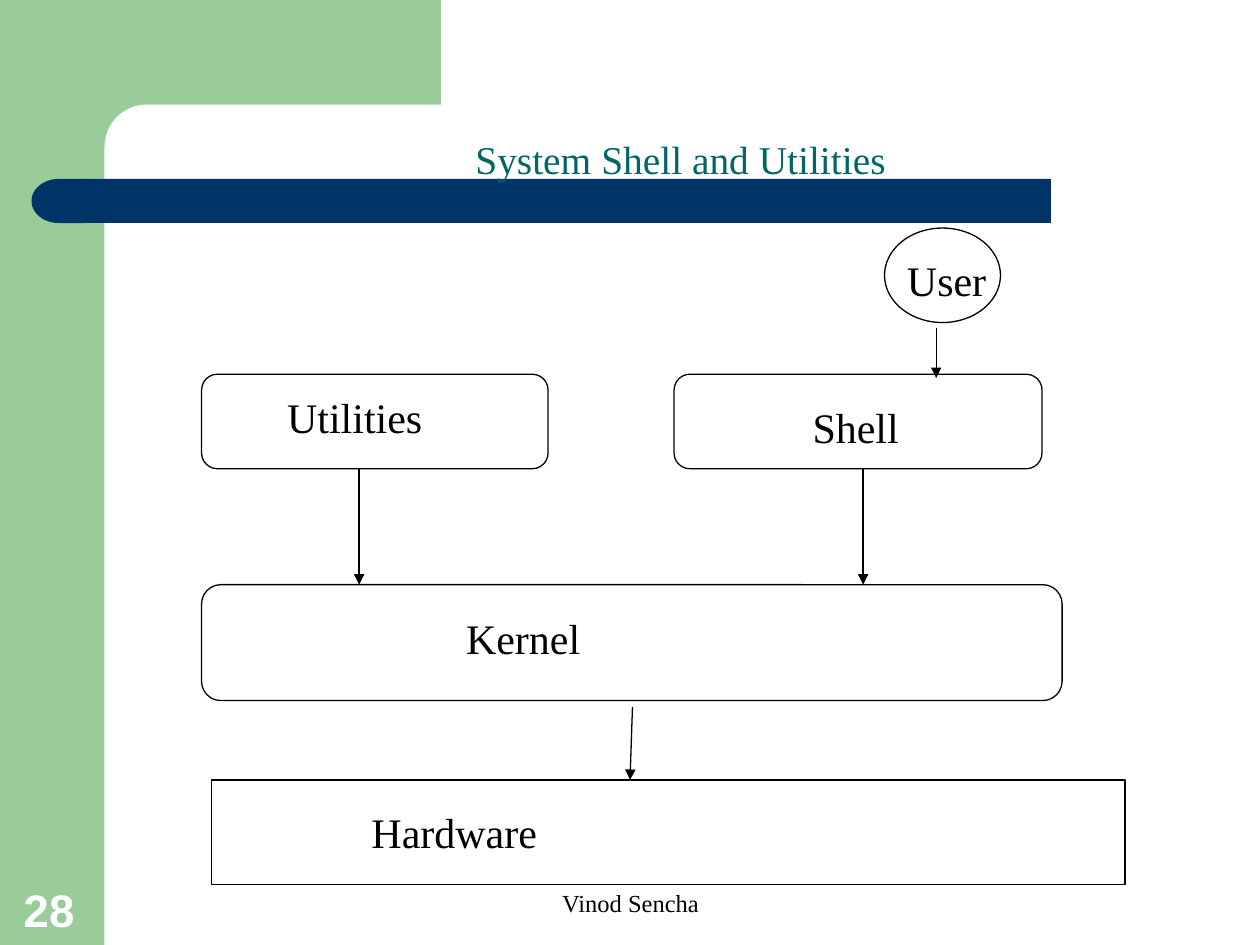
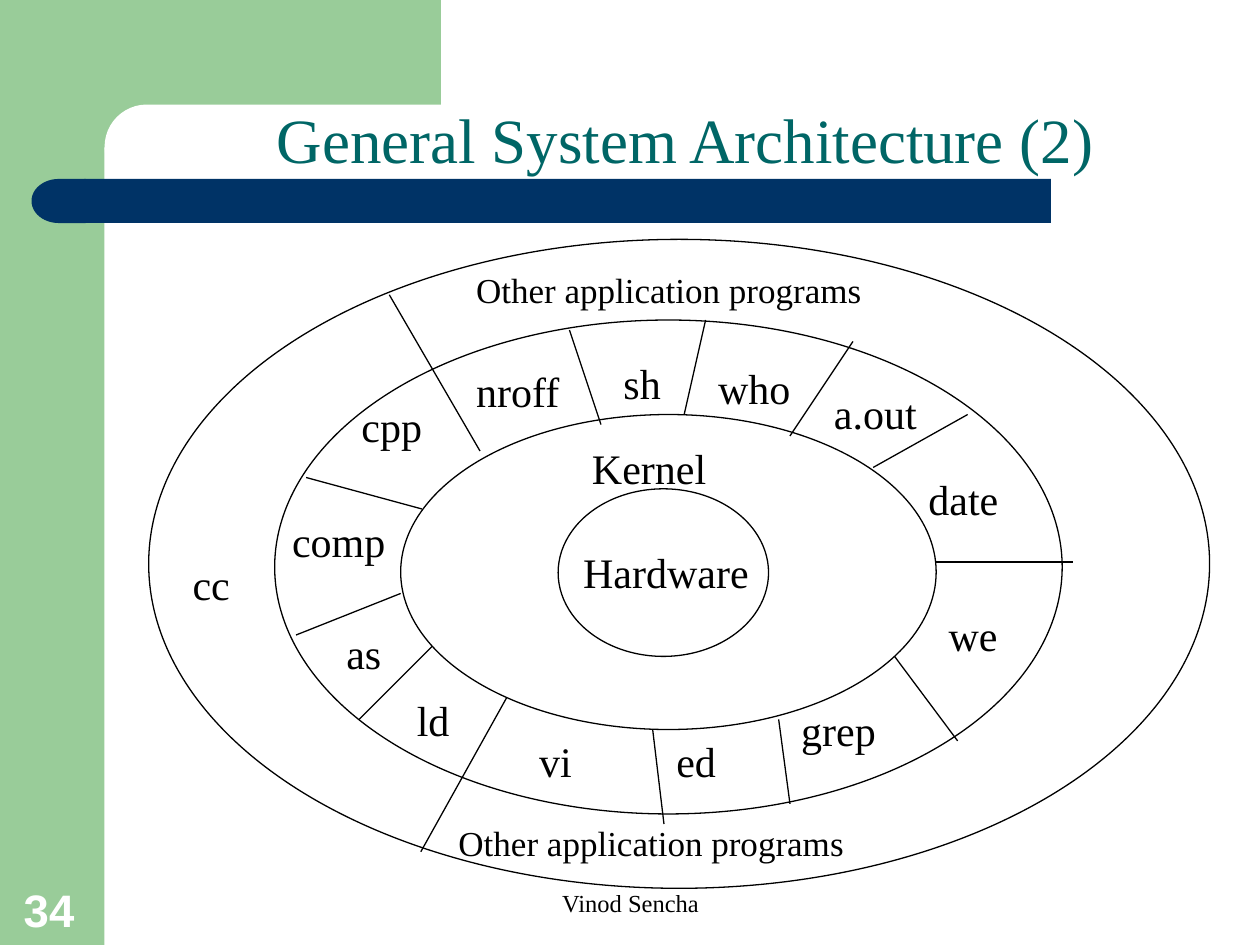
from pptx import Presentation
from pptx import util as u
from pptx.dml import color
from pptx.enum import shapes, text
from pptx.oxml import ns
from lxml import etree

KIND = shapes.MSO_SHAPE
LEFT, MID = text.PP_ALIGN.LEFT, text.PP_ALIGN.CENTER
TOP, LOW = text.MSO_ANCHOR.TOP, text.MSO_ANCHOR.BOTTOM
GREEN, NAVY, TEAL = "99CC99", "003366", "006666"
WHITE, BLACK = "FFFFFF", "000000"
SERIF, SANS = "Times New Roman", "Arial"


def hue(code):
    return color.RGBColor.from_string(code)


def apply(item, form):
    for key, val in form.items():
        setattr(item, key, val)


def inch(*nums):
    return [u.Inches(num) for num in nums]


def shift(box, x, y):
    return box[0] + x, box[1] + y


def write(shape, words, size=24, tint=BLACK, face=SERIF, bold=False,
          align=LEFT, anchor=TOP):
    frame = shape.text_frame
    apply(frame, {"word_wrap": True, "auto_size": text.MSO_AUTO_SIZE.NONE,
                  "vertical_anchor": anchor})
    para = frame.paragraphs[0]
    para.text = words
    para.alignment = align
    apply(para.font, {"size": u.Pt(size), "name": face, "bold": bold})
    para.font.color.rgb = hue(tint)


def label(slide, words, box, **form):
    write(slide.shapes.add_textbox(*inch(*box)), words, **form)


def block(slide, kind, box, fill=None):
    shape = slide.shapes.add_shape(kind, *inch(*box))
    shape.shadow.inherit = False
    if fill:
        shape.fill.solid()
        shape.fill.fore_color.rgb = hue(fill)
        shape.line.fill.background()
    else:
        shape.fill.background()
        shape.line.color.rgb = hue(BLACK)
        shape.line.width = u.Pt(0.75)
    return shape


def wire(slide, start, end, arrow=False):
    line = slide.shapes.add_connector(
        shapes.MSO_CONNECTOR.STRAIGHT, *inch(*start, *end))
    line.line.color.rgb = hue(BLACK)
    line.line.width = u.Pt(0.75)
    props = line.element.spPr
    if arrow:
        etree.SubElement(props.find(ns.qn("a:ln")), ns.qn("a:tailEnd"),
                         type="triangle")
    etree.SubElement(props, ns.qn("a:effectLst"))


def frame(slide, layout):
    parts = [
        block(slide, KIND.RECTANGLE, (0, 0, 0.83, 7.5), GREEN),
        block(slide, KIND.RECTANGLE, (0.75, 0, 2.75, 1.17), GREEN),
        block(slide, KIND.ROUNDED_RECTANGLE, (0.83, 0.83, 3.42, 0.67), WHITE),
        block(slide, KIND.RECTANGLE, (0.67, 1.42, 7.67, 0.35), NAVY),
        block(slide, KIND.FLOWCHART_DELAY, (0.25, 1.42, 0.43, 0.35), NAVY),
    ]
    parts[2].adjustments[0] = 0.5
    parts[-1].rotation = 180
    for part in parts:
        layout.shapes.element.append(part.element)


def head(slide, words, box, **form):
    title = slide.shapes.title
    apply(title, dict(zip(("left", "top", "width", "height"), inch(*box))))
    write(title, words, tint=TEAL, align=MID, **form)


def foot(slide, page):
    label(slide, page, (0.09, 6.94, 0.64, 0.54), size=26, tint=WHITE,
          face=SANS, bold=True, anchor=LOW)
    label(slide, "Vinod Sencha", (3.42, 7, 3.17, 0.5), size=14, align=MID)


def stack(slide, box):
    nodes = [
        (KIND.ROUNDED_RECTANGLE, (0, 1.16), (2.75, 0.75),
         "Utilities", (0.58, 1.25), 2.08),
        (KIND.ROUNDED_RECTANGLE, (3.75, 1.16), (2.92, 0.75),
         "Shell", (4.75, 1.33), 2.08),
        (KIND.ROUNDED_RECTANGLE, (0, 2.83), (6.83, 0.92),
         "Kernel", (2, 3), 3.75),
        (KIND.RECTANGLE, (0.08, 4.38), (7.25, 0.83),
         "Hardware", (1.25, 4.54), 5.33),
        (KIND.OVAL, (5.42, 0), (0.92, 0.75), "User", (5.5, 0.16), 0.83),
    ]
    for kind, spot, size, words, mark, width in nodes:
        block(slide, kind, (*shift(box, *spot), *size))
        label(slide, words, (*shift(box, *mark), width, 0.5))
    arrows = [
        ((1.25, 1.91), (1.25, 2.83)), ((5.25, 1.91), (5.25, 2.83)),
        ((3.42, 3.8), (3.4, 4.38)), ((5.83, 0.79), (5.83, 1.19)),
    ]
    for start, end in arrows:
        wire(slide, shift(box, *start), shift(box, *end), True)


def rings(slide, box):
    ovals = [
        (0, 0, 8.42, 5.15), (1, 0.64, 6.25, 3.92),
        (2, 1.39, 4.25, 2.5), (3.25, 1.98, 1.67, 1.33),
    ]
    for x, y, width, height in ovals:
        block(slide, KIND.OVAL, (*shift(box, x, y), width, height))
    spokes = [
        ((2.63, 1.68), (1.91, 0.44)), ((3.59, 1.47), (3.34, 0.72)),
        ((4.25, 1.39), (4.42, 0.64)), ((5.09, 1.56), (5.59, 0.81)),
        ((5.75, 1.81), (6.5, 1.39)), ((6.25, 2.56), (7.34, 2.56)),
        ((5.92, 3.31), (6.42, 3.98)), ((5, 3.81), (5.09, 4.48)),
        ((4, 3.89), (4.09, 4.64)), ((2.84, 3.64), (2.16, 4.86)),
        ((2.25, 3.23), (1.67, 3.81)), ((2, 2.81), (1.17, 3.14)),
        ((2.17, 2.14), (1.25, 1.89)),
    ]
    for start, end in spokes:
        wire(slide, shift(box, *start), shift(box, *end))
    tools = [
        ("cc", 0.25, 2.48, 0.75), ("Hardware", 3.35, 2.39, 1.67),
        ("Kernel", 3.42, 1.56, 1.83), ("nroff", 2.5, 0.95, 1),
        ("sh", 3.67, 0.89, 0.5), ("who", 4.42, 0.93, 0.92),
        ("a.out", 5.34, 1.13, 1.08), ("date", 6.09, 1.81, 1),
        ("we", 6.25, 2.89, 0.83), ("grep", 5.08, 3.64, 1.25),
        ("ed", 4.09, 3.89, 0.83), ("vi", 3, 3.89, 0.75),
        ("ld", 2.03, 3.56, 0.75), ("as", 1.47, 3.03, 0.58),
        ("comp", 1.04, 2.14, 1.33), ("cpp", 1.59, 1.23, 0.75),
    ]
    for words, x, y, width in tools:
        label(slide, words, (*shift(box, x, y), width, 0.5))
    for x, y in ((2.5, 0.18), (2.36, 4.57)):
        label(slide, "Other application programs",
              (*shift(box, x, y), 3.92, 0.44), size=20)


def main():
    deck = Presentation()
    apply(deck, {"slide_width": u.Inches(10), "slide_height": u.Inches(7.5)})
    layout = deck.slide_layouts[5]

    shell = deck.slides.add_slide(layout)
    frame(shell, layout)
    head(shell, "System Shell and Utilities", (0.81, 1, 9.19, 0.5),
         size=22.5, anchor=LOW)
    foot(shell, "28")
    stack(shell, (1.6, 1.81))

    core = deck.slides.add_slide(layout)
    head(core, "General System Architecture (2)", (0.88, 0.75, 9.12, 0.7),
         size=36)
    foot(core, "34")
    rings(core, (1.18, 1.9))

    deck.save("out.pptx")


if __name__ == "__main__":
    main()
